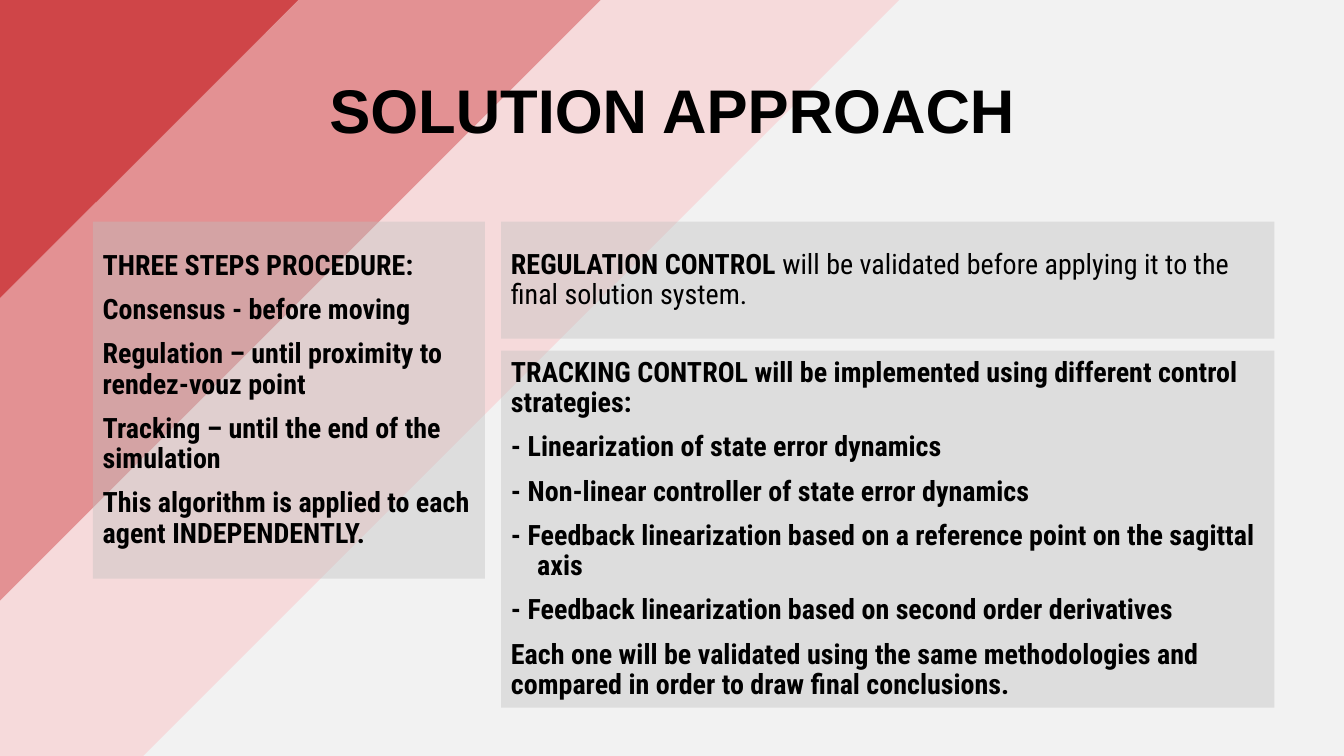
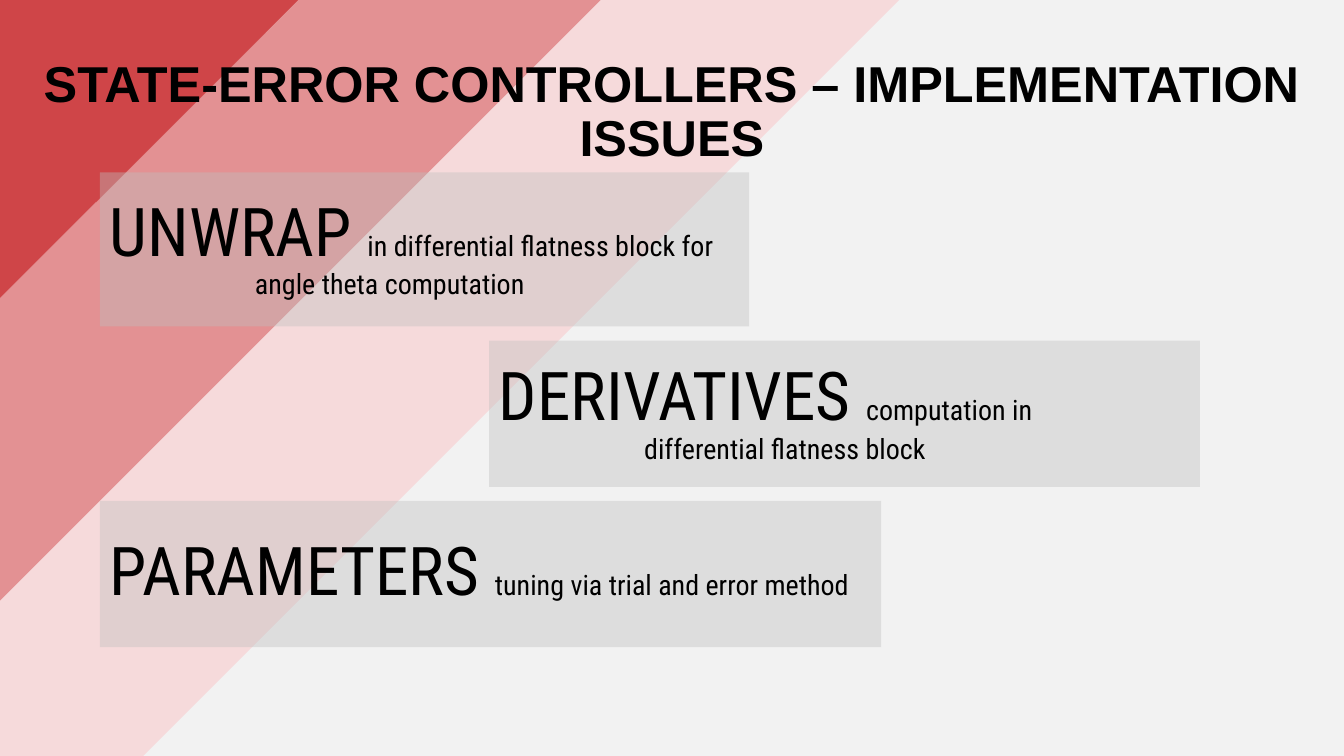
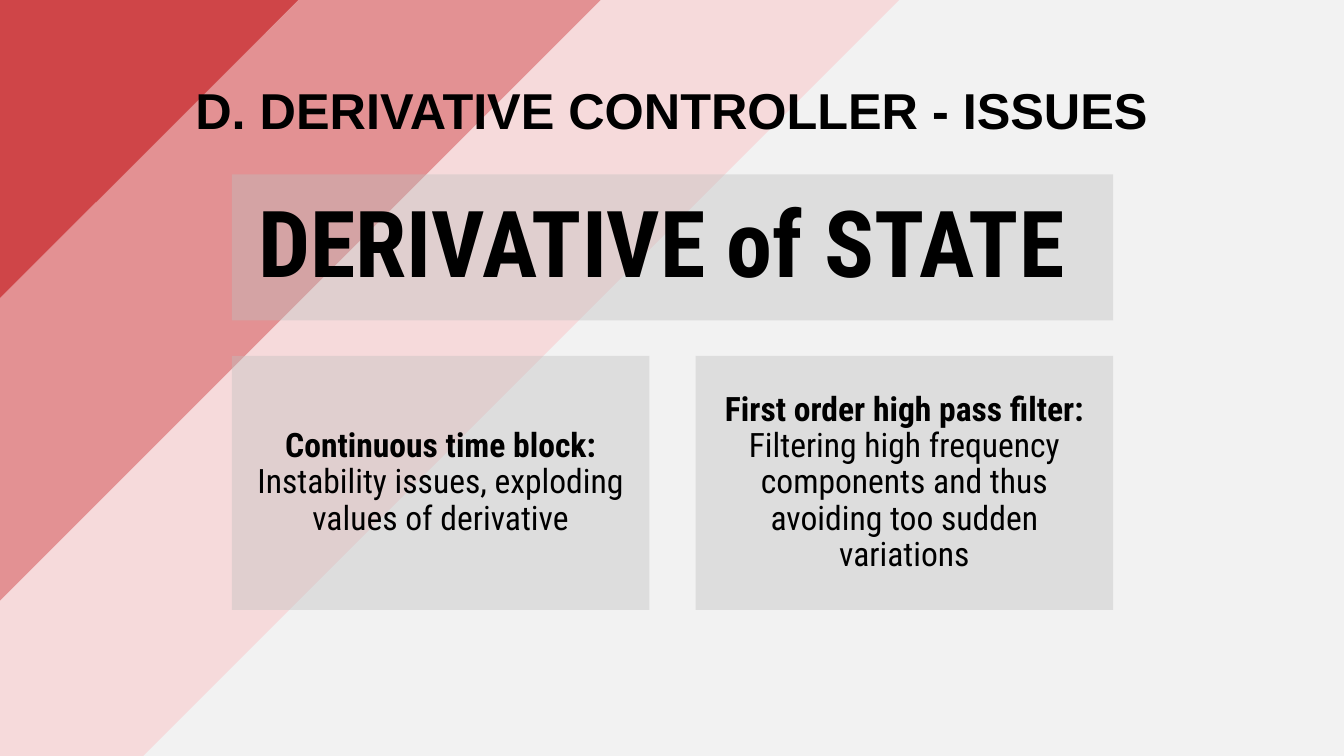
from dataclasses import dataclass

from lxml import etree
from pptx import Presentation
from pptx import util as u
from pptx.dml import color
from pptx.enum import shapes, text
from pptx.oxml import ns

TITLE_FONT, BODY_FONT = "Arial", "Roboto Condensed"
BLACK, PANEL, BACKDROP = "000000", "BFBFBF", "F2F2F2"
PANEL_ALPHA = 40
LEFT, CENTER = text.PP_ALIGN.LEFT, text.PP_ALIGN.CENTER


@dataclass(frozen=True)
class Box:
    left: float
    top: float
    width: float
    height: float

    def lengths(self) -> list[u.Length]:
        return [u.Inches(n) for n in (self.left, self.top, self.width, self.height)]


@dataclass(frozen=True)
class Stripe:
    box: Box
    fill: str


@dataclass(frozen=True)
class Run:
    text: str
    size: float = 20
    bold: bool = False
    font: str = BODY_FONT


@dataclass(frozen=True)
class Line:
    runs: list[Run]
    hanging: float = 0
    align: text.PP_ALIGN = LEFT
    space_before: float = 10


@dataclass(frozen=True)
class Panel:
    box: Box
    lines: list[Line]


@dataclass(frozen=True)
class Page:
    title: str
    title_size: float
    title_box: Box
    panels: list[Panel]


BACKDROP_BOX = Box(0.96, 0, 12.38, 7.5)
STRIPES = [
    Stripe(Box(-2.23, 2.45, 12.28, 2.12), "F6DADB"),
    Stripe(Box(-3.42, 1.3, 11.04, 2.12), "E39193"),
    Stripe(Box(-2.6, -0.28, 6.56, 2.12), "CF4548"),
]
WIDE_TITLE = Box(0, 0.4, 13.33, 1.45)


def bold_line(words: str, hanging: float = 0) -> Line:
    return Line([Run(words, bold=True)], hanging)


def keyword_line(keyword: str, rest: str) -> Line:
    return Line([Run(keyword, 48), Run(rest)], hanging=1.44)


def centered_line(words: str, size: float, bold: bool = False) -> Line:
    return Line([Run(words, size, bold)], align=CENTER, space_before=0)


def issue(left: float, heading: str, detail: str) -> Panel:
    lines = [centered_line(heading, 24, True), centered_line(detail, 24)]
    return Panel(Box(left, 3.53, 4.14, 2.52), lines)


PAGES = [
    Page("SOLUTION APPROACH", 44, Box(0.92, 0.4, 11.5, 1.45), [
        Panel(Box(0.92, 2.2, 3.89, 3.54), [
            bold_line("THREE STEPS PROCEDURE:"),
            bold_line("Consensus - before moving"),
            bold_line("Regulation – until proximity to rendez-vouz point"),
            bold_line("Tracking – until the end of the simulation"),
            bold_line("This algorithm is applied to each agent INDEPENDENTLY."),
        ]),
        Panel(Box(4.97, 2.2, 7.67, 1.16), [
            Line([
                Run("REGULATION CONTROL ", bold=True),
                Run("will be validated before applying it to the final solution system."),
            ]),
        ]),
        Panel(Box(4.97, 3.48, 7.67, 3.54), [
            bold_line("TRACKING CONTROL will be implemented using different control strategies:"),
            bold_line("- Linearization of state error dynamics", 0.26),
            bold_line("- Non-linear controller of state error dynamics", 0.26),
            bold_line("- Feedback linearization based on a reference point on the sagittal axis", 0.26),
            bold_line("- Feedback linearization based on second order derivatives", 0.26),
            bold_line("Each one will be validated using the same methodologies and "
                      "compared in order to draw final conclusions."),
        ]),
    ]),
    Page("STATE-ERROR CONTROLLERS – IMPLEMENTATION ISSUES", 36, WIDE_TITLE, [
        Panel(Box(0.99, 1.71, 6.44, 1.53), [
            keyword_line("UNWRAP ", "in differential flatness block for\nangle theta computation"),
        ]),
        Panel(Box(4.85, 3.38, 7.05, 1.45), [
            keyword_line("DERIVATIVES ", "computation in\ndifferential flatness block"),
        ]),
        Panel(Box(0.99, 4.97, 7.75, 1.45), [
            keyword_line("PARAMETERS ", "tuning via trial and error method"),
        ]),
    ]),
    Page("D. DERIVATIVE CONTROLLER - ISSUES", 36, WIDE_TITLE, [
        Panel(Box(2.3, 1.73, 8.74, 1.45), [centered_line("DERIVATIVE of STATE ", 66, True)]),
        issue(2.3, "Continuous time block:",
              "Instability issues, exploding values of derivative"),
        issue(6.9, "First order high pass filter:",
              "Filtering high frequency components and thus avoiding too sudden variations"),
    ]),
]


def rgb(value: str) -> color.RGBColor:
    return color.RGBColor.from_string(value)


def apply(target, values: dict) -> None:
    for name, value in values.items():
        setattr(target, name, value)


def add_rectangle(slide, box: Box, fill: str, alpha: int = 100, rotation: float = 0):
    shape = slide.shapes.add_shape(shapes.MSO_SHAPE.RECTANGLE, *box.lengths())
    shape.shadow.inherit = False
    shape.rotation = rotation
    shape.line.fill.background()
    shape.fill.solid()
    shape.fill.fore_color.rgb = rgb(fill)
    if alpha < 100:
        fill_color = shape.fill._xPr.find(".//" + ns.qn("a:srgbClr"))
        etree.SubElement(fill_color, ns.qn("a:alpha"), val=str(alpha * 1000))
    return shape


def add_run(paragraph, run: Run) -> None:
    for number, words in enumerate(run.text.split("\n")):
        if number:
            paragraph.add_line_break()
        piece = paragraph.add_run()
        piece.text = words
        apply(piece.font, {"name": run.font, "size": u.Pt(run.size), "bold": run.bold})
        piece.font.color.rgb = rgb(BLACK)


def write(shape, lines: list[Line]) -> None:
    frame = shape.text_frame
    apply(frame, {"word_wrap": True, "vertical_anchor": text.MSO_ANCHOR.MIDDLE})
    for number, line in enumerate(lines):
        paragraph = frame.add_paragraph() if number else frame.paragraphs[0]
        apply(paragraph, {
            "alignment": line.align,
            "line_spacing": 0.9,
            "space_before": u.Pt(line.space_before),
        })
        if line.hanging:
            properties = paragraph._p.get_or_add_pPr()
            properties.set("marL", str(u.Inches(line.hanging)))
            properties.set("indent", str(-u.Inches(line.hanging)))
        for run in line.runs:
            add_run(paragraph, run)


def add_page(presentation, page: Page) -> None:
    slide = presentation.slides.add_slide(presentation.slide_layouts[6])
    add_rectangle(slide, BACKDROP_BOX, BACKDROP)
    for stripe in STRIPES:
        add_rectangle(slide, stripe.box, stripe.fill, rotation=315)
    title = Run(page.title, page.title_size, True, TITLE_FONT)
    title_shape = slide.shapes.add_textbox(*page.title_box.lengths())
    write(title_shape, [Line([title], align=CENTER, space_before=0)])
    for panel in page.panels:
        write(add_rectangle(slide, panel.box, PANEL, PANEL_ALPHA), panel.lines)


def main() -> None:
    presentation = Presentation()
    apply(presentation, {"slide_width": u.Inches(13.33), "slide_height": u.Inches(7.5)})
    for page in PAGES:
        add_page(presentation, page)
    presentation.save("out.pptx")


if __name__ == "__main__":
    main()
